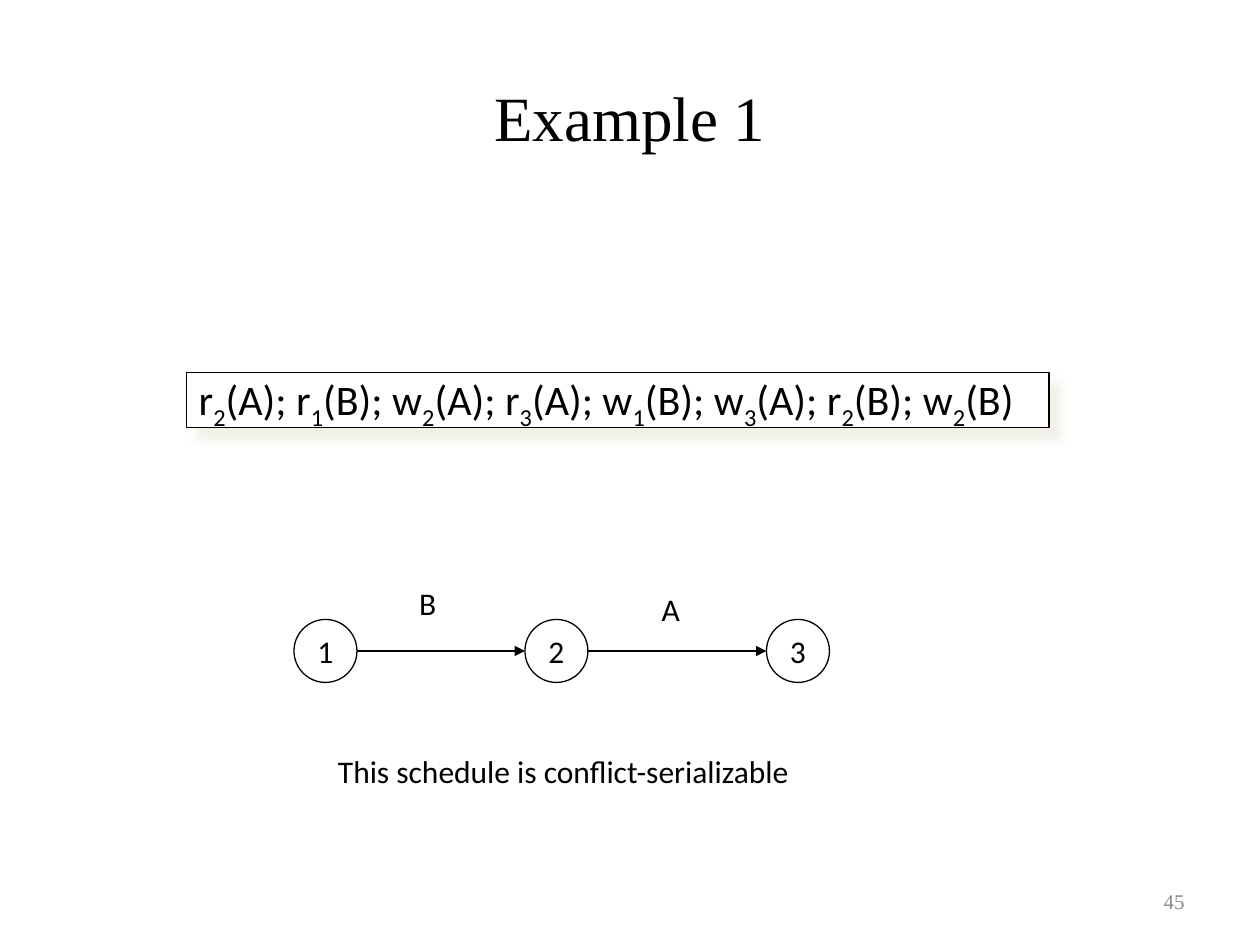
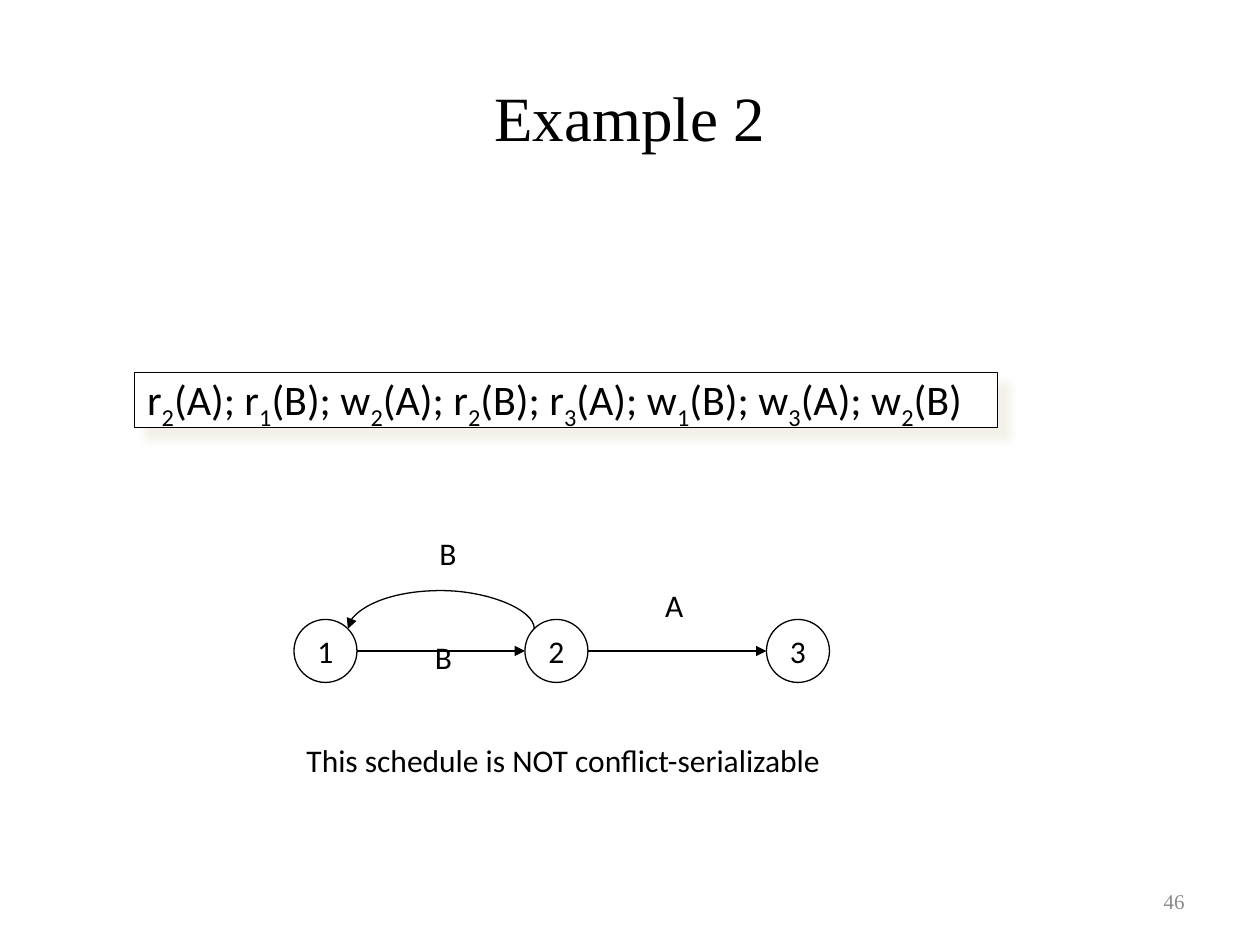
from itertools import groupby

from lxml import etree
from pptx import Presentation
from pptx.dml.color import RGBColor
from pptx.enum.shapes import MSO_CONNECTOR, MSO_SHAPE
from pptx.enum.text import MSO_ANCHOR, PP_ALIGN
from pptx.oxml.ns import qn
from pptx.util import Pt

STRAIGHT, CURVE = MSO_CONNECTOR.STRAIGHT, MSO_CONNECTOR.CURVE
RECTANGLE, OVAL = MSO_SHAPE.RECTANGLE, MSO_SHAPE.OVAL
LEFT, CENTER, RIGHT = PP_ALIGN.LEFT, PP_ALIGN.CENTER, PP_ALIGN.RIGHT
TOP, MIDDLE = MSO_ANCHOR.TOP, MSO_ANCHOR.MIDDLE

BLACK, WHITE, GRAY, SHADOW = "000000", "FFFFFF", "8C8C8C", "EEECE1"
BODY_FONT, HEADING_FONT = "Calibri", "Times New Roman"
LINE_WIDTH = 0.75
NODE_LEFTS = (168, 300, 438)
NODE_TOP, NODE_SIZE = 354, 36
NODE_MIDDLE = NODE_TOP + NODE_SIZE / 2


def color(value):
    return RGBColor.from_string(value)


def add_child(parent, tag, **attributes):
    return etree.SubElement(parent, qn(tag), attributes)


def write(box, text, size=18, font=BODY_FONT, ink=BLACK, align=LEFT,
          anchor=TOP, wrap=True, subscripts=False):
    frame = box.text_frame
    frame.word_wrap = wrap
    frame.vertical_anchor = anchor
    para = frame.paragraphs[0]
    para.alignment = align
    for is_digit, letters in groupby(text, lambda c: subscripts and c.isdigit()):
        span = para.add_run()
        span.text = "".join(letters)
        span.font.size = Pt(size)
        span.font.name = font
        span.font.color.rgb = color(ink)
        if is_digit:
            span.font._element.set("baseline", "-25000")
    return para


def add_text(page, text, left, top, width, height, **style):
    box = page.shapes.add_textbox(Pt(left), Pt(top), Pt(width), Pt(height))
    write(box, text, **style)


def add_outlined(page, kind, left, top, width, height):
    shape = page.shapes.add_shape(kind, Pt(left), Pt(top), Pt(width), Pt(height))
    shape.shadow.inherit = False
    shape.fill.background()
    shape.line.color.rgb = color(BLACK)
    shape.line.width = Pt(LINE_WIDTH)
    return shape


def add_schedule(page, text, left):
    shape = add_outlined(page, RECTANGLE, left, 213, 493, 31.5)
    shape.fill.solid()
    shape.fill.fore_color.rgb = color(WHITE)
    effects = shape._element.spPr.find(qn("a:effectLst"))
    shadow = add_child(effects, "a:outerShdw", blurRad=str(Pt(5)),
                       dist=str(Pt(8.5)), dir="2700000", algn="ctr",
                       rotWithShape="0")
    tint = add_child(shadow, "a:srgbClr", val=SHADOW)
    add_child(tint, "a:alpha", val="75000")
    para = write(shape, text, size=24, subscripts=True)
    para.line_spacing = 0.8
    para.space_before = Pt(4.8)


def add_node(page, label, left):
    shape = add_outlined(page, OVAL, left, NODE_TOP, NODE_SIZE, NODE_SIZE)
    write(shape, label, align=CENTER, anchor=MIDDLE, wrap=False)


def add_arrow(page, kind, start, end):
    points = [Pt(value) for value in (*start, *end)]
    arrow = page.shapes.add_connector(kind, *points)
    arrow.line.color.rgb = color(BLACK)
    arrow.line.width = Pt(LINE_WIDTH)
    add_child(arrow.line._get_or_add_ln(), "a:tailEnd", type="triangle")
    add_child(arrow._element.spPr, "a:effectLst")
    return arrow


def add_back_arrow(page, start_x, end_x, y, rise):
    middle, half = (start_x + end_x) / 2, (start_x - end_x) / 2
    thickness = 0.12
    arrow = add_arrow(page, CURVE, (middle + thickness, y + half), (middle, y - half))
    properties = arrow._element.spPr
    properties.find(qn("a:xfrm")).set("rot", "16200000")
    geometry = properties.find(qn("a:prstGeom"))
    guides = geometry.find(qn("a:avLst"))
    if guides is None:
        guides = add_child(geometry, "a:avLst")
    bend = round(-rise / thickness * 100000)
    add_child(guides, "a:gd", name="adj1", fmla=f"val {bend}")


def add_graph(page):
    for number, left in enumerate(NODE_LEFTS, 1):
        add_node(page, str(number), left)
    for left, following in zip(NODE_LEFTS, NODE_LEFTS[1:]):
        add_arrow(page, STRAIGHT, (left + NODE_SIZE, NODE_MIDDLE),
                  (following, NODE_MIDDLE))


def add_example(deck, number, schedule, schedule_left, verdict, verdict_at, labels):
    page = deck.slides.add_slide(deck.slide_layouts[6])
    add_text(page, str(44 + number), 516, 500.5, 168, 28.75, size=12,
             font=HEADING_FONT, ink=GRAY, align=RIGHT, anchor=MIDDLE)
    add_text(page, f"Example {number}", 36, 21.6, 648, 90, size=36,
             font=HEADING_FONT, align=CENTER, anchor=MIDDLE)
    add_schedule(page, schedule, schedule_left)
    add_graph(page)
    add_text(page, verdict, *verdict_at, 420, 36)
    for label, left, top in labels:
        add_text(page, label, left, top, 31, 36)
    return page


def main():
    deck = Presentation()
    deck.slide_width, deck.slide_height = Pt(720), Pt(540)
    add_example(
        deck, 1, "r2(A); r1(B); w2(A); r3(A); w1(B); w3(A); r2(B); w2(B)", 106.5,
        "This schedule is conflict-serializable", (186, 426),
        [("A", 371, 333.5), ("B", 232.5, 330)])
    cyclic = add_example(
        deck, 2, "r2(A); r1(B); w2(A); r2(B); r3(A); w1(B); w3(A); w2(B)", 77,
        "This schedule is NOT conflict-serializable", (168, 420),
        [("A", 373, 331.5), ("B", 241.5, 361), ("B", 244, 301.5)])
    add_back_arrow(cyclic, start_x=305.25, end_x=198.75, y=359.25, rise=23)
    deck.save("out.pptx")


if __name__ == "__main__":
    main()
